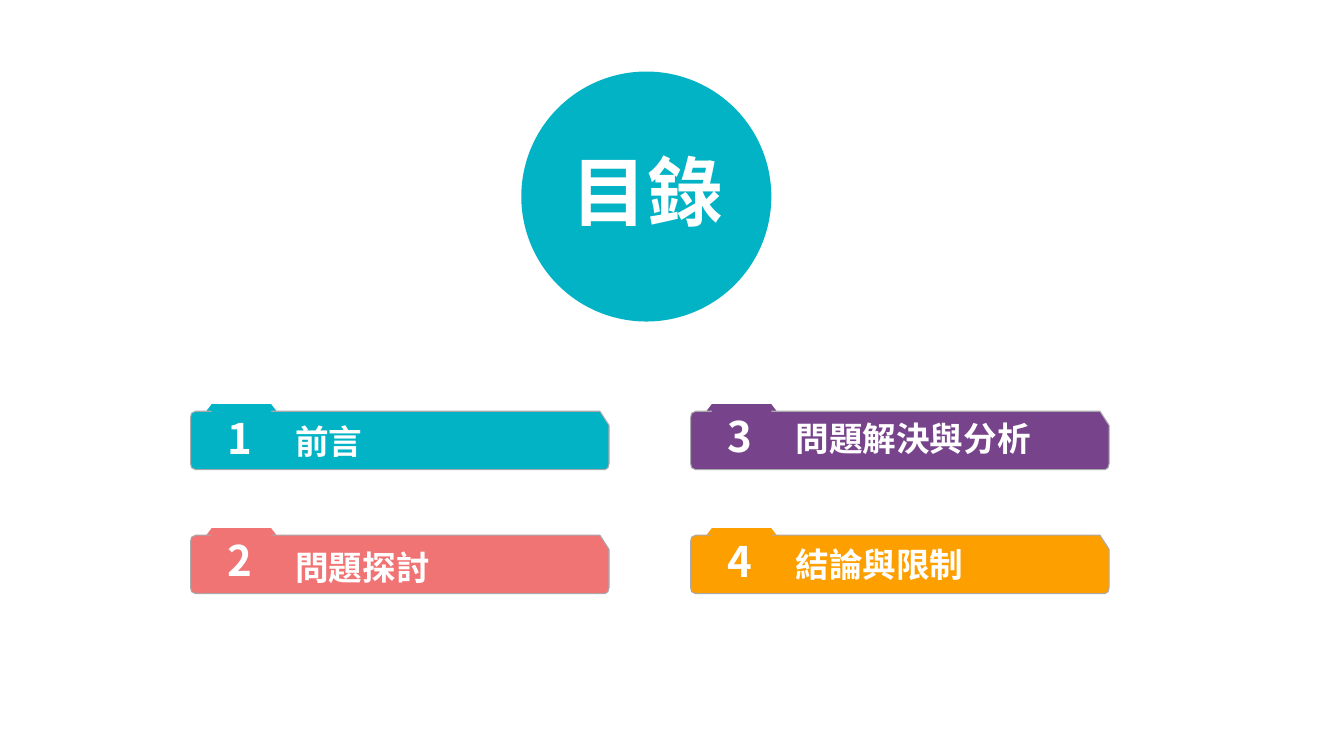
"""Build a contents slide with a round title and four numbered folder tabs."""
import pptx
import pptx.dml.color
import pptx.enum.shapes
import pptx.enum.text
import pptx.oxml
import pptx.oxml.ns
import pptx.util
from pptx.util import Inches

RGB = pptx.dml.color.RGBColor
TEAL = RGB(0x01, 0xB3, 0xC5)
CORAL = RGB(0xF1, 0x74, 0x75)
PURPLE = RGB(0x77, 0x44, 0x8C)
ORANGE = RGB(0xFE, 0x9F, 0x00)
GREY = RGB(0xA8, 0xA9, 0xAD)
WHITE = RGB(0xFF, 0xFF, 0xFF)
FONT = "Noto Sans CJK SC"
KIND = pptx.enum.shapes.MSO_SHAPE
ALIGN = pptx.enum.text.PP_ALIGN

TITLE = "目錄"
ITEMS = [
    {"label": "前言", "fill": TEAL, "wide": 0.82, "drop": 0.13, "num": 0.04},
    {"label": "問題探討", "fill": CORAL, "wide": 1.5, "drop": 0.15, "num": 0.02},
    {"label": "問題解決與分析", "fill": PURPLE, "wide": 2.51, "drop": 0.1, "num": 0.02},
    {"label": "結論與限制", "fill": ORANGE, "wide": 1.83, "drop": 0.12, "num": 0.03},
]
LEFT, TOP = 1.89, 4.01
STEP_X, STEP_Y = 4.96, 1.23
ROWS = 2

TAB = [(0.21, 0), (0.8, 0), (0.87, 0.09), (0.14, 0.09)]
BAR = [
    (0.05, 0.07), (4.06, 0.07), (4.15, 0.21), (4.15, 0.59), (4.14, 0.63),
    (4.11, 0.65), (0.05, 0.65), (0.01, 0.63), (0, 0.59), (0, 0.13),
    (0.01, 0.09),
]


def paint(shape, fill):
    shape.shadow.inherit = False
    shape.fill.solid()
    shape.fill.fore_color.rgb = fill
    shape.line.fill.background()


def block(slide, kind, box, fill):
    shape = slide.shapes.add_shape(kind, *map(Inches, box))
    paint(shape, fill)


def outline(slide, x, y, points, fill):
    spots = [(Inches(x + dx), Inches(y + dy)) for dx, dy in points]
    maker = slide.shapes.build_freeform(*spots[0])
    maker.add_line_segments(spots[1:], close=True)
    shape = maker.convert_to_shape()
    paint(shape, fill)
    return shape


def write(slide, box, text, size, pad=(0.07, 0.04), align=ALIGN.LEFT):
    frame = slide.shapes.add_textbox(*map(Inches, box)).text_frame
    frame.word_wrap = False
    frame.auto_size = pptx.enum.text.MSO_AUTO_SIZE.SHAPE_TO_FIT_TEXT
    frame.margin_left = frame.margin_right = Inches(pad[0])
    frame.margin_top = frame.margin_bottom = Inches(pad[1])
    para = frame.paragraphs[0]
    para.alignment = align
    run = para.add_run()
    run.text = text
    font = run.font
    font.name, font.size, font.bold = FONT, pptx.util.Pt(size), True
    font.color.rgb = WHITE
    east = pptx.oxml.parse_xml(
        f'<a:ea {pptx.oxml.ns.nsdecls("a")} typeface="{FONT}"/>')
    run._r.get_or_add_rPr().find(pptx.oxml.ns.qn("a:latin")).addnext(east)


def folder(slide, spot, item):
    col, row = divmod(spot, ROWS)
    x, y = LEFT + col * STEP_X, TOP + row * STEP_Y
    fill = item["fill"]
    outline(slide, x, y, TAB, fill)
    bar = outline(slide, x, y, BAR, fill)
    bar.line.color.rgb = GREY
    bar.line.width = 0
    block(slide, KIND.RECTANGLE, (x + 0.21, y, 0.59, 0.61), fill)
    write(slide, (x + 0.97, y + item["drop"], item["wide"], 0.48),
          item["label"], 24)
    write(slide, (x + 0.3, y + item["num"], 0.41, 0.58), str(spot + 1), 30)


def main():
    deck = pptx.Presentation()
    deck.slide_width, deck.slide_height = Inches(13.33), Inches(7.5)
    slide = deck.slides.add_slide(deck.slide_layouts[6])
    for spot, item in enumerate(ITEMS):
        folder(slide, spot, item)
    block(slide, KIND.OVAL, (5.17, 0.71, 2.48, 2.48), TEAL)
    write(slide, (5.56, 1.39, 1.72, 1.01), TITLE, 54, (0.1, 0.05), ALIGN.CENTER)
    deck.save("out.pptx")


if __name__ == "__main__":
    main()
